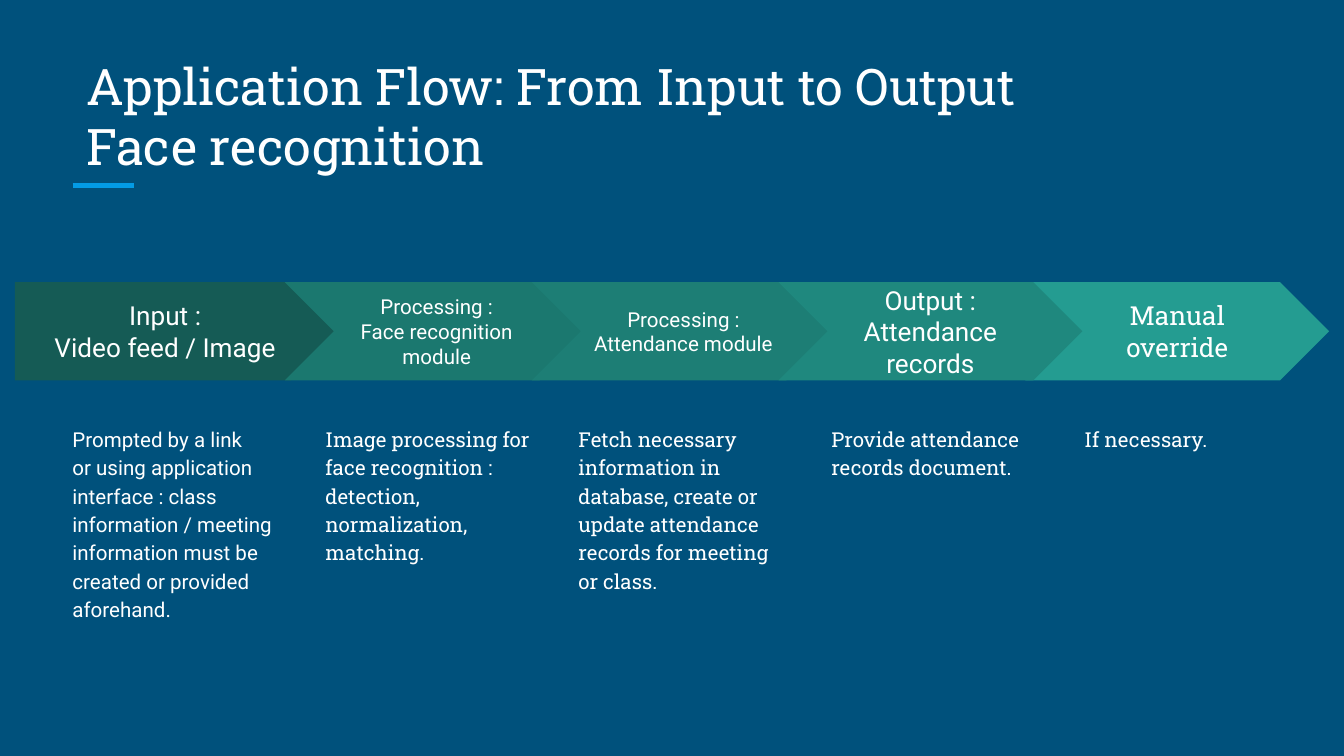
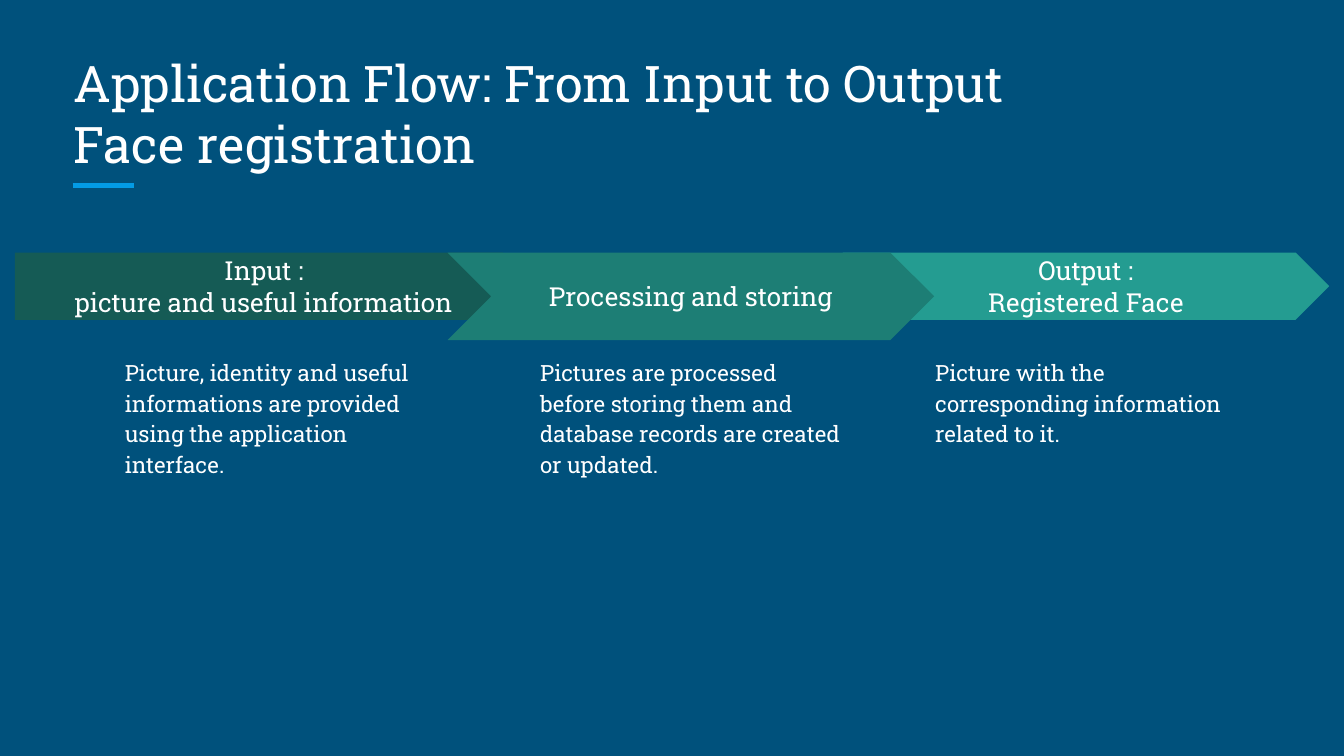
import pptx
import pptx.util
import pptx.dml.color
import pptx.enum.shapes
import pptx.enum.text
import lxml.etree
from dataclasses import dataclass

Inches = pptx.util.Inches
Pt = pptx.util.Pt
RGBColor = pptx.dml.color.RGBColor
Shape = pptx.enum.shapes.MSO_SHAPE
Align = pptx.enum.text.PP_ALIGN
Anchor = pptx.enum.text.MSO_ANCHOR

NAVY = RGBColor(0x00, 0x51, 0x7C)
SKY = RGBColor(0x03, 0x9B, 0xE5)
WHITE = RGBColor(0xFF, 0xFF, 0xFF)
TEAL_DARKEST = RGBColor(0x15, 0x5B, 0x55)
TEAL_DARK = RGBColor(0x1B, 0x78, 0x6F)
TEAL = RGBColor(0x1D, 0x7E, 0x75)
TEAL_LIGHT = RGBColor(0x1F, 0x88, 0x7E)
TEAL_LIGHTEST = RGBColor(0x24, 0x9C, 0x91)

SANS = "Roboto"
SLAB = "Roboto Slab"
SLIDE_WIDTH = 10
SLIDE_HEIGHT = SLIDE_WIDTH * 9 / 16
TITLE_ONLY = 5
DRAWING_NS = "http://schemas.openxmlformats.org/drawingml/2006/main"


@dataclass
class Step:
    heading: list
    details: list
    color: RGBColor
    heading_font: str = SLAB
    heading_size: int = 14
    details_font: str = SLAB
    outline: Shape = Shape.CHEVRON


def write(frame, lines, font, size, align=Align.LEFT, anchor=Anchor.TOP, spacing=1.0):
    frame.word_wrap = True
    frame.auto_size = pptx.enum.text.MSO_AUTO_SIZE.NONE
    frame.vertical_anchor = anchor
    frame.margin_left = frame.margin_right = Inches(0.1)
    frame.margin_top = frame.margin_bottom = Inches(0.1)
    for index, line in enumerate(lines):
        paragraph = frame.paragraphs[0] if index == 0 else frame.add_paragraph()
        paragraph.alignment = align
        paragraph.line_spacing = spacing
        paragraph.space_before = paragraph.space_after = Pt(0)
        run = paragraph.add_run()
        run.text = line
        run.font.name = font
        run.font.size = Pt(size)
        run.font.color.rgb = WHITE


def place(shape, box):
    shape.left, shape.top, shape.width, shape.height = map(Inches, box)


def add_flow_slide(deck, subject, title_box):
    slide = deck.slides.add_slide(deck.slide_layouts[TITLE_ONLY])
    underline = slide.shapes.add_connector(
        pptx.enum.shapes.MSO_CONNECTOR.STRAIGHT,
        Inches(0.54), Inches(1.38), Inches(1), Inches(1.38))
    underline.line.color.rgb = SKY
    underline.line.width = Pt(3)
    lxml.etree.SubElement(underline._element.spPr, f"{{{DRAWING_NS}}}effectLst")
    title = slide.shapes.title
    place(title, title_box)
    write(title.text_frame, ["Application Flow: From Input to Output", subject],
          SLAB, 27, anchor=Anchor.MIDDLE)
    return slide


def add_step(slide, step, arrow_box, details_box, details_size):
    group = slide.shapes.add_group_shape()
    arrow = group.shapes.add_shape(step.outline, *map(Inches, arrow_box))
    arrow.adjustments[0] = 0.5
    arrow.shadow.inherit = False
    arrow.fill.solid()
    arrow.fill.fore_color.rgb = step.color
    arrow.line.fill.background()
    write(arrow.text_frame, step.heading, step.heading_font, step.heading_size,
          Align.CENTER, Anchor.MIDDLE)
    details = group.shapes.add_textbox(*map(Inches, details_box))
    write(details.text_frame, step.details, step.details_font, details_size, spacing=1.15)


def build_recognition(deck):
    slide = add_flow_slide(deck, "Face recognition", (0.54, 0.3, 9.15, 1.12))
    steps = [
        Step(["Input :", "Video feed / Image"],
             ["Prompted by a link",
              "or using application interface : class information / meeting "
              "information must be created or provided aforehand."],
             TEAL_DARKEST, SANS, details_font=SANS, outline=Shape.PENTAGON),
        Step(["Processing :", "Face recognition module"],
             ["Image processing for face recognition :",
              "detection, normalization, matching."],
             TEAL_DARK, SANS, 11),
        Step(["Processing :", "Attendance module "],
             ["Fetch necessary information in database, create or update "
              "attendance records for meeting or class."],
             TEAL, SANS, 11),
        Step(["Output :", "Attendance records"],
             ["Provide attendance records document."],
             TEAL_LIGHT, SANS),
        Step(["Manual override"], ["If necessary."], TEAL_LIGHTEST),
    ]
    first_chevron, last_chevron = 2.12, 7.63
    pitch = (last_chevron - first_chevron) / (len(steps) - 2)
    column_pitch = (7.97 - 0.44) / (len(steps) - 1)
    for index in (0, 1, 2, 4, 3):
        left = first_chevron + pitch * (index - 1) if index else 0.11
        width = 2.26 if index else 2.42
        add_step(slide, steps[index], (left, 2.1, width, 0.73),
                 (0.44 + column_pitch * index, 3.05, 1.78, 2.57), 11)


def build_registration(deck):
    slide = add_flow_slide(deck, "Face registration", (0.45, 0.28, 9.15, 1.12))
    output = Step(["Output :", "Registered Face"],
                  ["Picture with the corresponding information related to it."],
                  TEAL_LIGHTEST)
    picture_input = Step(["Input : ", "picture and useful information "],
                         ["Picture, identity and useful informations are provided "
                          "using the application interface."],
                         TEAL_DARKEST, outline=Shape.PENTAGON)
    processing = Step(["Processing and storing"],
                      ["Pictures are processed before storing them and database "
                       "records are created or updated."],
                      TEAL)
    for step, left, width, height, details_left in (
            (output, 6.27, 3.62, 0.5, 6.86),
            (picture_input, 0.11, 3.88, 0.5, 0.83),
            (processing, 3.33, 3.62, 0.65, 3.92)):
        add_step(slide, step, (left, 1.88, width, height),
                 (details_left, 2.54, 2.45, 1.97), 12)


def main():
    deck = pptx.Presentation()
    deck.slide_width = Inches(SLIDE_WIDTH)
    deck.slide_height = Inches(SLIDE_HEIGHT)
    backdrop = deck.slide_master.background.fill
    backdrop.solid()
    backdrop.fore_color.rgb = NAVY
    build_recognition(deck)
    build_registration(deck)
    deck.save("out.pptx")


if __name__ == "__main__":
    main()
